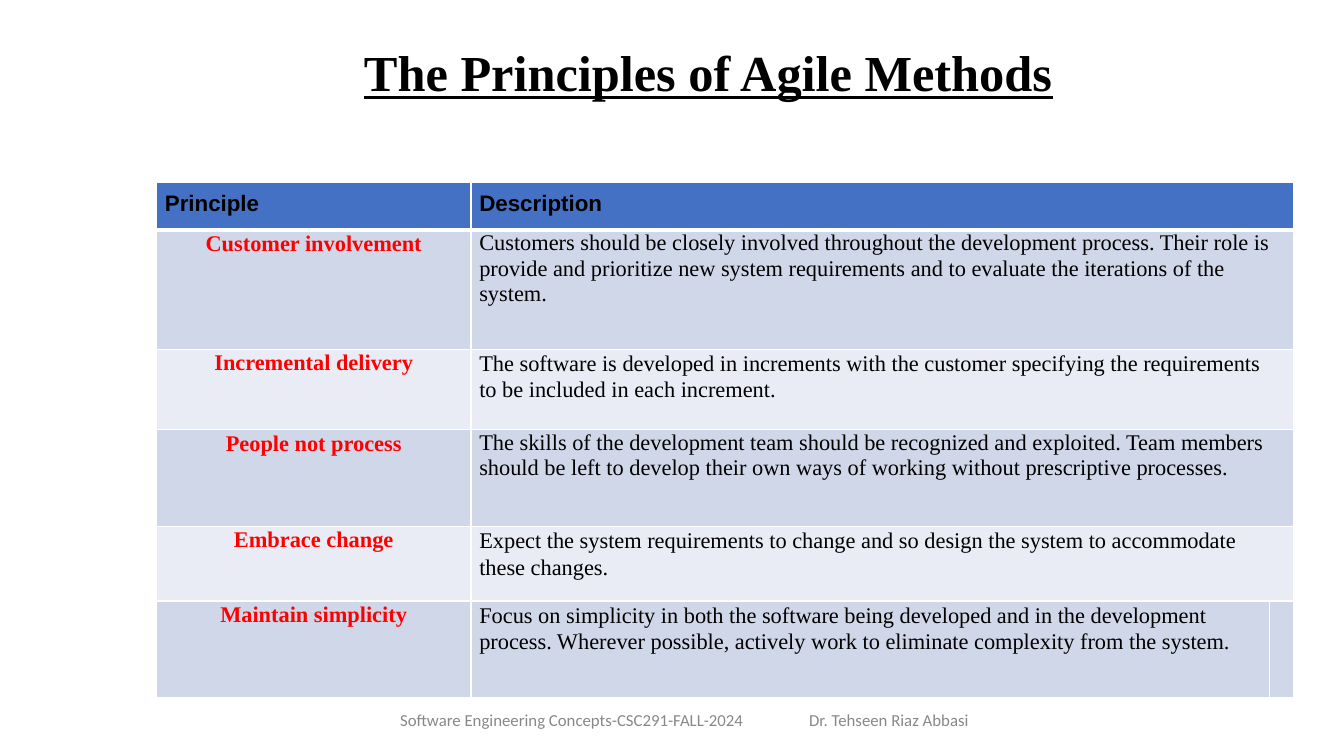
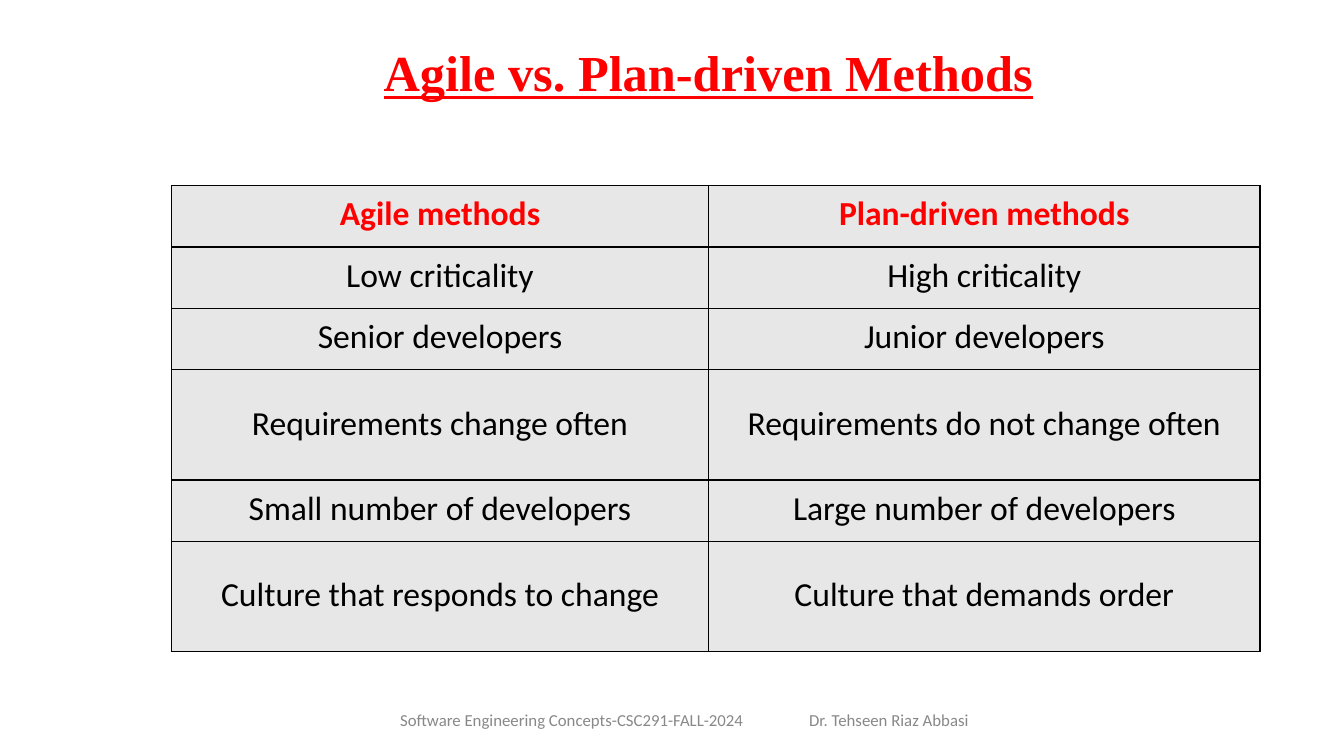
import pptx
import pptx.util
import pptx.dml.color
import pptx.enum.text
import pptx.oxml

Pt = pptx.util.Pt
ALIGN = pptx.enum.text.PP_ALIGN
HUES = {
    "ink": "000000",
    "red": "FF0000",
    "white": "FFFFFF",
    "head": "4471C4",
    "dark": "D0D7E8",
    "light": "E9ECF4",
    "gray": "E7E7E7",
    "foot": "888888",
}
SERIF = "Times New Roman"
SANS = "Calibri"
FOOTS = [
    ("Software Engineering Concepts-CSC291-FALL-2024", 285.8, 260),
    ("Dr. Tehseen Riaz Abbasi", 578, 130),
]
RULES = [
    ("Customer involvement", 85, 18.2,
     "Customers should be closely involved throughout the development process. "
     "Their role is provide and prioritize new system requirements and to "
     "evaluate the iterations of the system."),
    ("Incremental delivery", 57.6, 19.2,
     "The software is developed in increments with the customer specifying the "
     "requirements to be included in each increment."),
    ("People not process", 69, 18.2,
     "The skills of the development team should be recognized and exploited. "
     "Team members should be left to develop their own ways of working without "
     "prescriptive processes."),
    ("Embrace change", 53.4, 19.2,
     "Expect the system requirements to change and so design the system to "
     "accommodate these changes."),
    ("Maintain simplicity", 69, 19.2,
     "Focus on simplicity in both the software being developed and in the "
     "development process. Wherever possible, actively work to eliminate "
     "complexity from the system."),
]
PAIRS = [
    ("Agile methods", "Plan-driven methods"),
    ("Low criticality", "High criticality"),
    ("Senior developers", "Junior developers"),
    ("Requirements change often", "Requirements do not change often"),
    ("Small number of developers", "Large number of developers"),
    ("Culture that responds to change", "Culture that demands order"),
]
TALL = (3, 5)


def paint(hue):
    return pptx.dml.color.RGBColor.from_string(HUES[hue])


def style(para, face, size, hue, bold=False, align=ALIGN.LEFT, pitch=None):
    para.alignment = align
    if pitch:
        para.line_spacing = Pt(pitch)
    font = para.font
    font.name, font.size, font.bold = face, Pt(size), bold
    font.color.rgb = paint(hue)


def inset(item, left=0, top=0, right=0):
    item.margin_left, item.margin_top = Pt(left), Pt(top)
    item.margin_right, item.margin_bottom = Pt(right), Pt(0)


def start(deck, text, hue):
    slide = deck.slides.add_slide(deck.slide_layouts[5])
    title = slide.shapes.title
    title.left, title.top = Pt(206), Pt(29)
    title.width, title.height = Pt(600), Pt(45)
    frame = title.text_frame
    frame.text = text
    frame.auto_size = pptx.enum.text.MSO_AUTO_SIZE.NONE
    frame.vertical_anchor = pptx.enum.text.MSO_ANCHOR.TOP
    inset(frame, top=0.7)
    para = frame.paragraphs[0]
    style(para, SERIF, 36, hue, True, ALIGN.CENTER)
    para.font.underline = True
    for note, left, width in FOOTS:
        add_foot(slide, note, left, width)
    return slide


def add_foot(slide, text, left, width):
    box = slide.shapes.add_textbox(Pt(left), Pt(509), Pt(width), Pt(15))
    frame = box.text_frame
    frame.word_wrap = True
    inset(frame)
    frame.text = text
    style(frame.paragraphs[0], SANS, 12, "foot", pitch=12.4)


def add_grid(slide, left, top, cols, rows):
    frame = slide.shapes.add_table(
        len(rows), len(cols), Pt(left), Pt(top), Pt(sum(cols)), Pt(sum(rows)))
    table = frame.table
    for col, width in zip(table.columns, cols):
        col.width = Pt(width)
    for row, height in zip(table.rows, rows):
        row.height = Pt(height)
    return table


def dress(cell, fill, edge, above=1, below=1):
    props = cell._tc.get_or_add_tcPr()
    space = pptx.oxml.ns.nsdecls("a")
    for side, width in (("L", 1), ("R", 1), ("T", above), ("B", below)):
        props.append(pptx.oxml.parse_xml(
            f'<a:ln{side} {space} w="{Pt(width)}"><a:solidFill>'
            f'<a:srgbClr val="{HUES[edge]}"/></a:solidFill></a:ln{side}>'))
    cell.fill.solid()
    cell.fill.fore_color.rgb = paint(fill)


def write(cell, text, *look, left=0, top=0, right=0, **more):
    cell.text = text
    inset(cell, left, top, right)
    style(cell.text_frame.paragraphs[0], *look, **more)


def add_rules(slide):
    rows = [34] + [rule[1] for rule in RULES]
    table = add_grid(slide, 111.8, 130.4, [224.6, 570.2, 12.2], rows)
    for num, row in enumerate(table.rows):
        fill = "head" if num == 0 else "dark" if num % 2 else "light"
        for cell in row.cells:
            dress(cell, fill, "white",
                  above=3 if num == 1 else 1, below=3 if num == 0 else 1)
        if num < len(RULES):
            table.cell(num, 1).merge(table.cell(num, 2))
    for col, text in enumerate(("Principle", "Description")):
        write(table.cell(0, col), text, "Arial", 16, "ink", True, left=6, top=6.5)
    for num, (name, _, pitch, text) in enumerate(RULES, 1):
        write(table.cell(num, 0), name, SERIF, 16, "red", True,
              align=ALIGN.CENTER, pitch=18.8)
        write(table.cell(num, 1), text, SERIF, 16, "ink",
              left=6, right=8, pitch=pitch)


def add_pairs(slide):
    rows = [78.8 if num in TALL else 43.9 for num in range(len(PAIRS))]
    table = add_grid(slide, 122.4, 132.5, [383.8, 393.8], rows)
    for num, pair in enumerate(PAIRS):
        for col, text in enumerate(pair):
            cell = table.cell(num, col)
            dress(cell, "gray", "ink")
            write(cell, text, SANS, 24, "ink" if num else "red", num == 0,
                  top=24 if num in TALL else 6, align=ALIGN.CENTER)


def main():
    deck = pptx.Presentation()
    deck.slide_width, deck.slide_height = Pt(960), Pt(540)
    add_rules(start(deck, "The Principles of Agile Methods", "ink"))
    add_pairs(start(deck, "Agile vs. Plan-driven Methods", "red"))
    deck.save("out.pptx")


if __name__ == "__main__":
    main()
